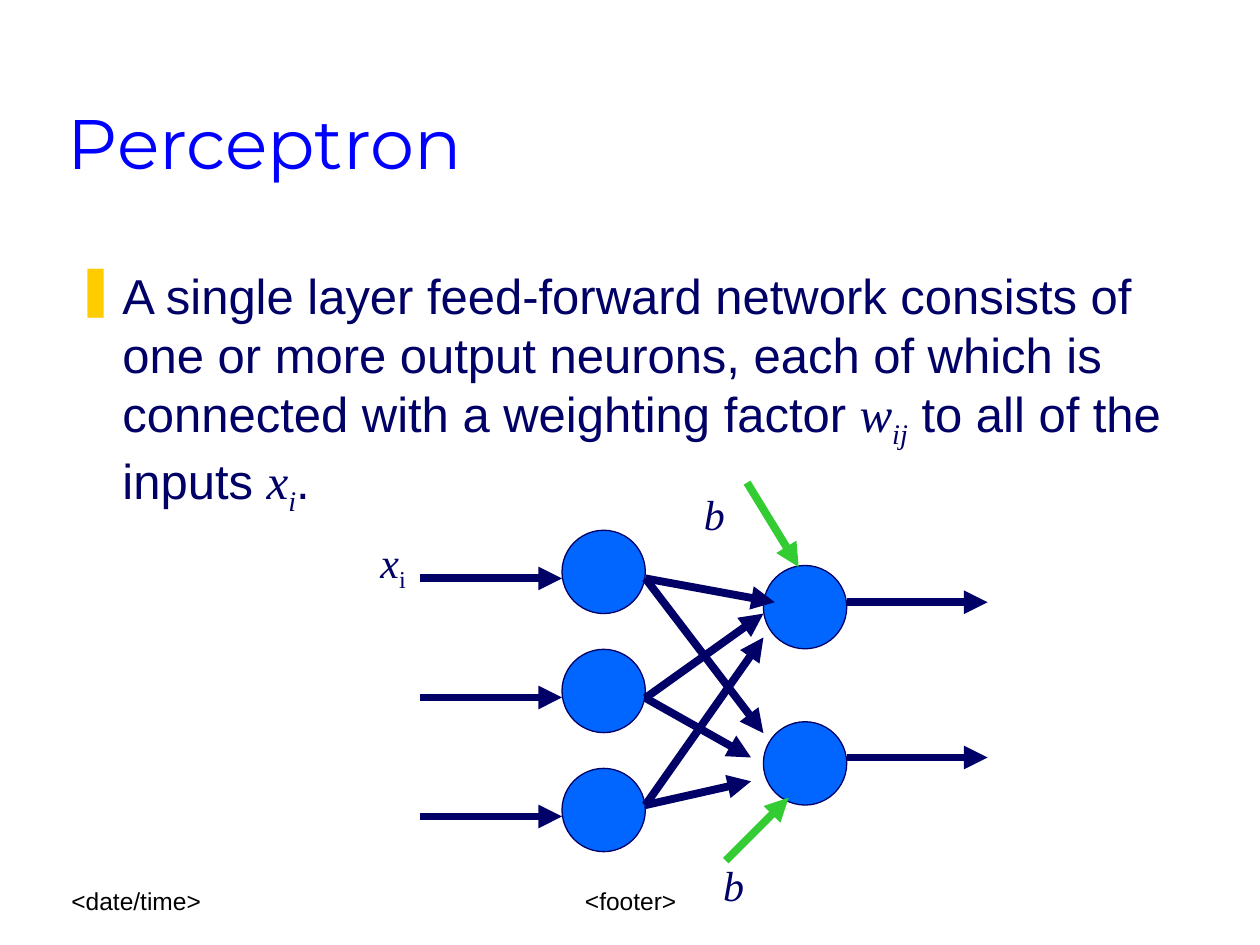
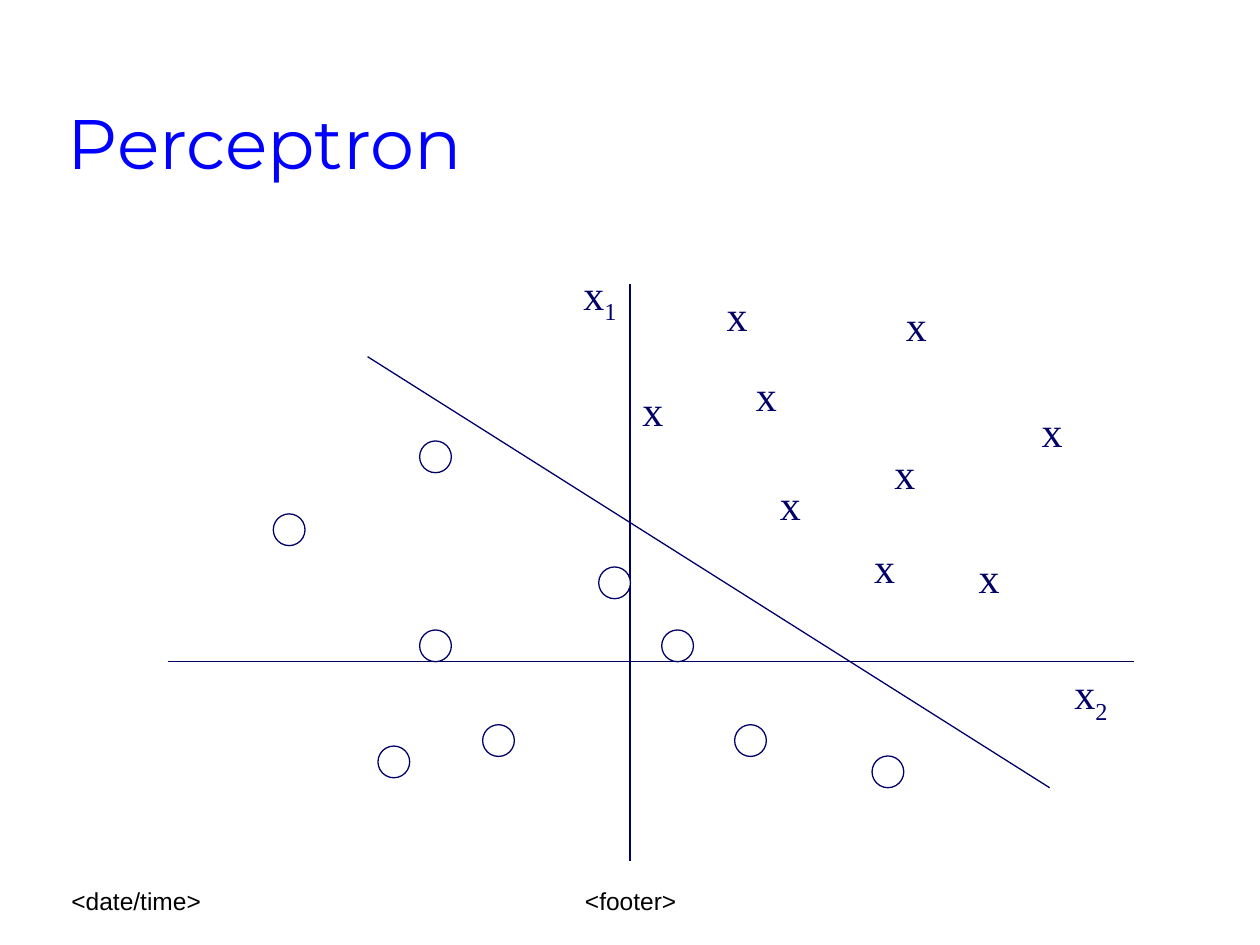
from dataclasses import dataclass

import pptx
import pptx.dml.color
import pptx.enum.shapes
import pptx.enum.text
import pptx.oxml.ns
import pptx.presentation
import pptx.slide
import pptx.text.text
import pptx.util
from lxml import etree

Cm = pptx.util.Cm
Anchor = pptx.enum.text.MSO_ANCHOR
Align = pptx.enum.text.PP_ALIGN
Point = tuple[float, float]


@dataclass(frozen=True)
class Theme:
    title_color: str = "0000FF"
    ink: str = "000066"
    footer_color: str = "000000"
    bullet: str = "FFCC00"
    neuron: str = "0066FF"
    bias: str = "33CC33"
    paper: str = "FFFFFF"
    title_font: str = "Montserrat"
    body_font: str = "Arial"
    math_font: str = "Times New Roman"
    title_size: float = 40
    body_size: float = 28
    math_size: float = 24
    footer_size: float = 14
    thin: float = 0.75
    thick: float = 4.5


THEME = Theme()


@dataclass(frozen=True)
class Span:
    text: str
    size: float = THEME.math_size
    font: str = THEME.math_font
    color: str = THEME.ink
    italic: bool = False
    subscript: bool = False


@dataclass(frozen=True)
class TextBox:
    left: float
    top: float
    width: float
    height: float
    spans: tuple[Span, ...]
    anchor: Anchor = Anchor.TOP
    align: Align = Align.LEFT
    wrap: bool = True


@dataclass(frozen=True)
class Line:
    start: Point
    end: Point
    color: str = THEME.ink
    width: float = THEME.thin
    arrow: bool = False


@dataclass(frozen=True)
class Circle:
    left: float
    top: float
    diameter: float
    fill: str


def rgb(color: str) -> pptx.dml.color.RGBColor:
    return pptx.dml.color.RGBColor.from_string(color)


def add_child(parent: etree._Element, tag: str, **attributes: str) -> etree._Element:
    return etree.SubElement(parent, pptx.oxml.ns.qn(tag), attributes)


def draw_text(slide: pptx.slide.Slide, box: TextBox) -> pptx.text.text._Paragraph:
    shape = slide.shapes.add_textbox(
        Cm(box.left), Cm(box.top), Cm(box.width), Cm(box.height)
    )
    frame = shape.text_frame
    frame.word_wrap = box.wrap
    frame.vertical_anchor = box.anchor
    if not box.wrap:
        frame.auto_size = pptx.enum.text.MSO_AUTO_SIZE.SHAPE_TO_FIT_TEXT
    paragraph = frame.paragraphs[0]
    paragraph.alignment = box.align
    for span in box.spans:
        run = paragraph.add_run()
        run.text = span.text
        run.font.size = pptx.util.Pt(span.size)
        run.font.name = span.font
        run.font.italic = span.italic
        run.font.color.rgb = rgb(span.color)
        if span.subscript:
            run._r.get_or_add_rPr().set("baseline", "-25000")
    return paragraph


def draw_label(slide: pptx.slide.Slide, left: float, top: float, *spans: Span) -> None:
    width, height = (1.17, 1.42) if len(spans) > 1 else (0.91, 1.27)
    draw_text(slide, TextBox(left, top, width, height, spans, wrap=False))


def draw_line(slide: pptx.slide.Slide, line: Line) -> None:
    connector = slide.shapes.add_connector(
        pptx.enum.shapes.MSO_CONNECTOR.STRAIGHT,
        *(Cm(value) for value in line.start + line.end),
    )
    connector.line.color.rgb = rgb(line.color)
    connector.line.width = pptx.util.Pt(line.width)
    if line.arrow:
        add_child(connector.line._get_or_add_ln(), "a:tailEnd", type="triangle")
    add_child(connector._element.spPr, "a:effectLst")


def draw_arrow(
    slide: pptx.slide.Slide, start: Point, end: Point, color: str = THEME.ink
) -> None:
    draw_line(slide, Line(start, end, color, THEME.thick, arrow=True))


def draw_circle(slide: pptx.slide.Slide, circle: Circle) -> None:
    shape = slide.shapes.add_shape(
        pptx.enum.shapes.MSO_SHAPE.OVAL,
        Cm(circle.left), Cm(circle.top), Cm(circle.diameter), Cm(circle.diameter),
    )
    shape.shadow.inherit = False
    shape.fill.solid()
    shape.fill.fore_color.rgb = rgb(circle.fill)
    shape.line.color.rgb = rgb(THEME.ink)
    shape.line.width = pptx.util.Pt(THEME.thin)


def footer_span(text: str) -> Span:
    return Span(text, THEME.footer_size, THEME.body_font, THEME.footer_color)


def add_slide(
    presentation: pptx.presentation.Presentation, title: str
) -> pptx.slide.Slide:
    slide = presentation.slides.add_slide(presentation.slide_layouts[6])
    slide.background.fill.solid()
    slide.background.fill.fore_color.rgb = rgb(THEME.paper)
    heading = Span(title, THEME.title_size, THEME.title_font, THEME.title_color)
    for box in (
        TextBox(8.69, 17.3, 8.05, 1.27, (footer_span("<footer>"),),
                Anchor.BOTTOM, Align.CENTER),
        TextBox(1.19, 17.3, 5.28, 1.27, (footer_span("<date/time>"),), Anchor.BOTTOM),
        TextBox(1.12, 0.64, 21.59, 3.18, (heading,), Anchor.BOTTOM),
    ):
        draw_text(slide, box)
    return slide


def draw_definition(slide: pptx.slide.Slide) -> None:
    def plain(text: str) -> Span:
        return Span(text, THEME.body_size, THEME.body_font)

    def symbol(text: str, subscript: bool = False) -> Span:
        return Span(text, THEME.body_size, italic=True, subscript=subscript)

    spans = (
        plain("A single layer feed-forward network consists of one or more output "
              "neurons, each of which is connected with a weighting factor "),
        symbol("w"),
        symbol("ij", subscript=True),
        plain(" to all of the inputs "),
        symbol("x"),
        symbol("i", subscript=True),
        plain("."),
    )
    paragraph = draw_text(slide, TextBox(1.27, 5.23, 22.71, 5.56, spans))
    paragraph.space_before = pptx.util.Pt(7)
    properties = paragraph._p.get_or_add_pPr()
    indent = Cm(0.95)
    properties.set("marL", str(indent))
    properties.set("indent", str(-indent))
    add_child(add_child(properties, "a:buClr"), "a:srgbClr", val=THEME.bullet)
    add_child(properties, "a:buChar", char="❚")


def build_network_slide(presentation: pptx.presentation.Presentation) -> None:
    slide = add_slide(presentation, "Perceptron")
    draw_definition(slide)

    diameter = 1.68
    input_left, output_left = 11.33, 15.39
    input_tops = [10.69 + 2.4 * row for row in range(3)]
    for top in (11.4, 14.55):
        draw_circle(slide, Circle(output_left, top, diameter, THEME.neuron))
    for top in input_tops:
        draw_circle(slide, Circle(input_left, top, diameter, THEME.neuron))
        draw_arrow(slide, (8.46, top + 0.97), (input_left, top + 0.97))

    weights: dict[float, tuple[Point, Point]] = {
        11.66: ((15.62, 12.14), (15.39, 14.78)),
        14.07: ((15.39, 12.37), (15.14, 15.27)),
        16.23: ((15.39, 12.85), (15.14, 15.75)),
    }
    for start_y, ends in weights.items():
        for end in ends:
            draw_arrow(slide, (input_left + diameter, start_y), end)
    for y in (12.14, 15.27):
        draw_arrow(slide, (output_left + diameter, y), (19.91, y))
    draw_arrow(slide, (15.06, 9.73), (16.1, 11.43), THEME.bias)
    draw_arrow(slide, (14.63, 17.35), (15.9, 16.08), THEME.bias)

    draw_label(slide, 7.42, 10.69, Span("x", italic=True), Span("i", subscript=True))
    for left, top in ((13.94, 9.73), (14.33, 17.2)):
        draw_label(slide, left, top, Span("b", italic=True))


def build_separation_slide(presentation: pptx.presentation.Presentation) -> None:
    slide = add_slide(presentation, "Perceptron")
    vertical_axis = Line((12.7, 5.72), (12.7, 17.35))
    horizontal_axis = Line((3.38, 13.34), (22.86, 13.34))
    decision_boundary = Line((7.41, 7.19), (21.16, 15.88))
    for line in (vertical_axis, horizontal_axis, decision_boundary):
        draw_line(slide, line)

    for left, top, index in ((11.51, 5.28, "1"), (21.41, 13.34, "2")):
        draw_label(slide, left, top, Span("x"), Span(index, subscript=True))

    crosses = (
        (14.99, 7.32), (18.01, 5.92), (15.47, 9.53),
        (17.78, 8.89), (17.37, 10.8), (12.7, 7.62),
        (19.48, 11), (14.4, 5.72), (20.75, 8.05),
    )
    for left, top in crosses:
        draw_label(slide, left, top, Span("x"))

    rings = (
        (5.51, 10.36), (17.58, 15.24), (8.46, 12.7),
        (9.73, 14.61), (8.46, 8.89), (13.34, 12.7),
        (7.62, 15.04), (12.07, 11.43), (14.81, 14.61),
    )
    for left, top in rings:
        draw_circle(slide, Circle(left, top, 0.64, THEME.paper))


def main() -> None:
    presentation = pptx.Presentation()
    presentation.slide_width = Cm(25.4)
    presentation.slide_height = Cm(19.05)
    build_network_slide(presentation)
    build_separation_slide(presentation)
    presentation.save("out.pptx")


if __name__ == "__main__":
    main()
